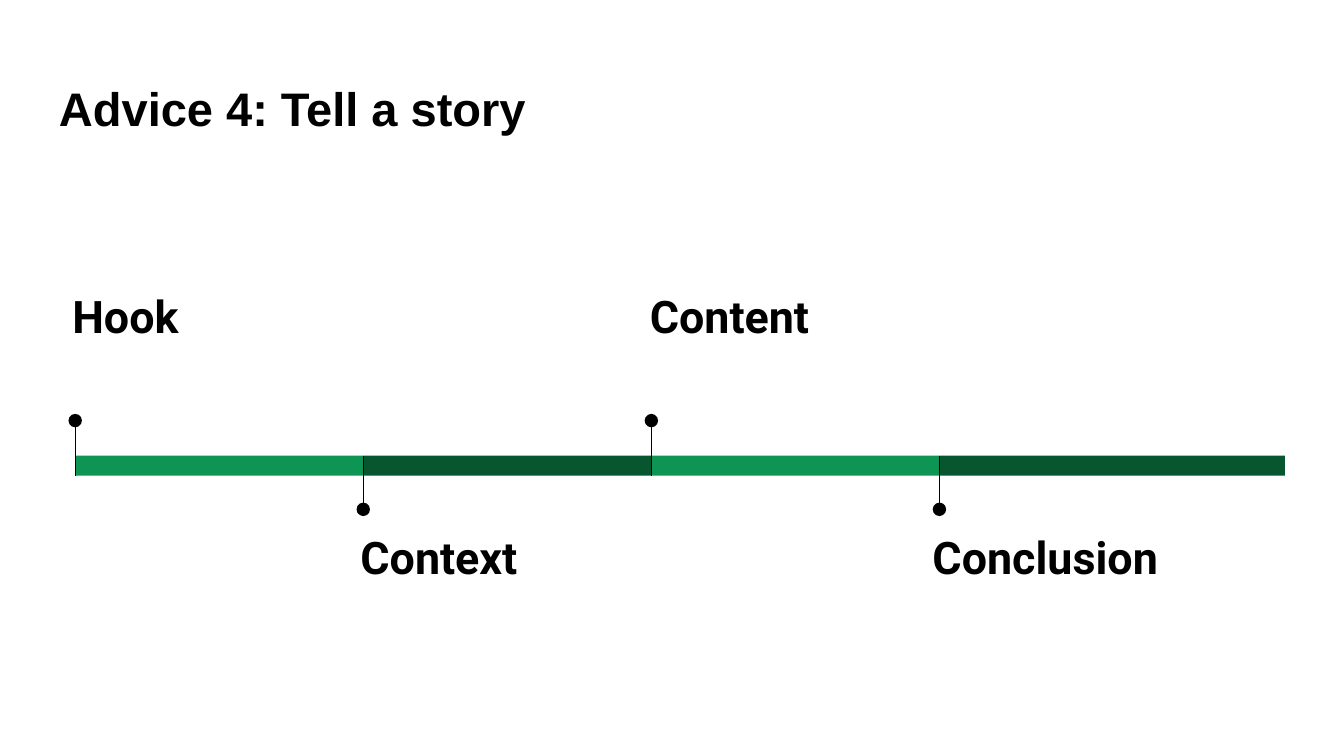
import pptx
import pptx.util
import pptx.dml.color
import pptx.enum.shapes
import pptx.enum.text
import pptx.oxml.ns
from lxml import etree

Inches = pptx.util.Inches
SHAPE = pptx.enum.shapes.MSO_SHAPE
COLORS = {"ink": "000000", "light": "0E9453", "dark": "085630"}
BAR_HEIGHT = 0.15
DOT_SIZE = 0.1
STEM_LENGTH = 0.39
LABEL_WIDTH, LABEL_HEIGHT = 2.46, 1.03


def rgb(name):
    """Return the named colour."""
    return pptx.dml.color.RGBColor.from_string(COLORS[name])


def add_text(shapes, box, words, font_name, size, anchor, space_after=0):
    """Place one bold line of text in a box."""
    frame = shapes.add_textbox(*map(Inches, box)).text_frame
    frame.word_wrap = True
    frame.vertical_anchor = anchor
    frame.margin_left = frame.margin_right = Inches(0.1)
    frame.margin_top = frame.margin_bottom = Inches(0.1)
    paragraph = frame.paragraphs[0]
    paragraph.space_after = pptx.util.Pt(space_after)
    run = paragraph.add_run()
    run.text = words
    run.font.name = font_name
    run.font.size = pptx.util.Pt(size)
    run.font.bold = True
    run.font.color.rgb = rgb("ink")


def add_solid(shapes, kind, box, color):
    """Place a filled shape without outline or shadow."""
    solid = shapes.add_shape(kind, *map(Inches, box))
    solid.shadow.inherit = False
    solid.fill.solid()
    solid.fill.fore_color.rgb = rgb(color)
    solid.line.fill.background()


def add_stem(shapes, x, start, end):
    """Draw a thin vertical line."""
    stem = shapes.add_connector(
        pptx.enum.shapes.MSO_CONNECTOR.STRAIGHT,
        Inches(x), Inches(start), Inches(x), Inches(end))
    stem.line.color.rgb = rgb("ink")
    stem.line.width = pptx.util.Pt(0.75)
    properties = stem._element.spPr
    etree.SubElement(properties, pptx.oxml.ns.qn("a:effectLst"))


def add_stage(slide, left, top, width, label, label_offset, above):
    """Build a timeline stage with its bar, pin and label."""
    shapes = slide.shapes.add_group_shape().shapes
    bottom = top + BAR_HEIGHT
    if above:
        color, start, end = "light", bottom - STEM_LENGTH, bottom
        dot_top, label_top = top - 0.31, top - 1.34
    else:
        color, start, end = "dark", top + STEM_LENGTH, top
        dot_top, label_top = top + 0.35, top + 0.45
    add_solid(shapes, SHAPE.RECTANGLE, (left, top, width, BAR_HEIGHT), color)
    add_stem(shapes, left, start, end)
    add_solid(shapes, SHAPE.OVAL,
              (left - DOT_SIZE / 2, dot_top, DOT_SIZE, DOT_SIZE), "ink")
    add_text(shapes,
             (left - label_offset, label_top, LABEL_WIDTH, LABEL_HEIGHT),
             label, "Roboto", 24, pptx.enum.text.MSO_ANCHOR.TOP, 16)


def add_timeline(slide, left, top, width):
    """Lay the stages end to end, the last filling the remaining width."""
    stages = [("Hook", 0.12), ("Context", 0.12),
              ("Content", 0.11), ("Conclusion", 0.15)]
    last = len(stages) - 1
    step = (width - 2.57) / last
    for index, (label, label_offset) in enumerate(stages):
        offset = index * step
        add_stage(slide, left + offset, top,
                  width - offset if index == last else step,
                  label, label_offset, index % 2 == 0)


def add_title(slide, box):
    """Place the slide title."""
    add_text(slide.shapes, box, "Advice 4: Tell a story", "Arial", 25.2,
             pptx.enum.text.MSO_ANCHOR.MIDDLE)


def main():
    """Build and save the slide."""
    deck = pptx.Presentation()
    deck.slide_width = Inches(10)
    deck.slide_height = deck.slide_width * 9 // 16
    slide = deck.slides.add_slide(deck.slide_layouts[6])
    add_title(slide, (0.34, 0.49, 9.32, 0.63))
    add_timeline(slide, 0.56, 3.39, 9)
    deck.save("out.pptx")


if __name__ == "__main__":
    main()
